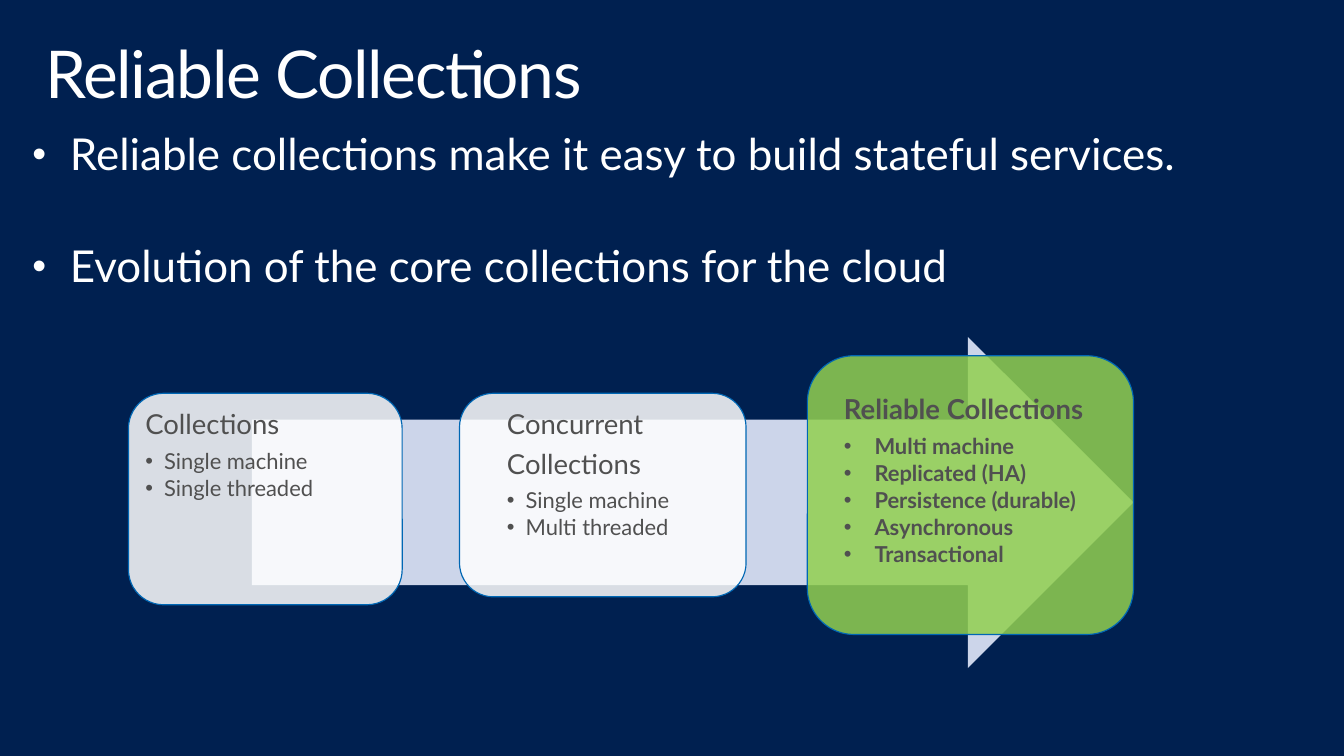
import dataclasses

import lxml.etree
import pptx
import pptx.dml.color
import pptx.enum.shapes
import pptx.enum.text
import pptx.oxml.ns
import pptx.util

SHAPES = pptx.enum.shapes.MSO_SHAPE


@dataclasses.dataclass(frozen=True)
class Theme:
    font: str = "Lato"
    background: str = "002050"
    light: str = "FFFFFF"
    ink: str = "505050"
    arrow: str = "CCD5EA"
    outline: str = "0067B4"
    highlight: str = "92D050"
    title_size: int = 48
    lead_size: int = 32
    heading_size: int = 20
    item_size: int = 16
    line_spacing: float = 0.9
    card_opacity: int = 85


class SlideBuilder:
    SCALE = 9144

    def __init__(self, deck, theme):
        self.theme = theme
        self.page = deck.slides.add_slide(deck.slide_layouts[6])
        self.paint(self.page.background.fill, theme.background)

    def px(self, *lengths):
        return [pptx.util.Emu(length * self.SCALE) for length in lengths]

    def paint(self, fill, color):
        fill.solid()
        fill.fore_color.rgb = pptx.dml.color.RGBColor.from_string(color)

    def shape(self, kind, area, color):
        shape = self.page.shapes.add_shape(kind, *self.px(*area))
        shape.shadow.inherit = False
        self.paint(shape.fill, color)
        shape.line.fill.background()
        return shape

    def card(self, area, color):
        shape = self.shape(SHAPES.ROUNDED_RECTANGLE, area, color)
        self.paint(shape.line.fill, self.theme.outline)
        shape.line.width = pptx.util.Pt(0.85)
        tint = shape._element.spPr.find(pptx.oxml.ns.qn("a:solidFill"))[0]
        alpha = lxml.etree.SubElement(tint, pptx.oxml.ns.qn("a:alpha"))
        alpha.set("val", str(self.theme.card_opacity * 1000))

    def text_frame(self, area, inset_x, inset_y):
        frame = self.page.shapes.add_textbox(*self.px(*area)).text_frame
        frame.word_wrap = True
        frame.vertical_anchor = pptx.enum.text.MSO_ANCHOR.TOP
        frame.margin_left, frame.margin_right = self.px(inset_x, inset_x)
        frame.margin_top, frame.margin_bottom = self.px(inset_y, inset_y)
        return frame

    def paragraph(self, frame, text, size, color, bold=False, before=0, after=0,
                  indent=0, bullet_size=100, tracking=0):
        para = frame.paragraphs[0]
        if para.runs:
            para = frame.add_paragraph()
        para.add_run().text = text
        para.line_spacing = self.theme.line_spacing
        para.space_before = pptx.util.Pt(before)
        para.space_after = pptx.util.Pt(after)
        if indent:
            self.bullet(para, indent, bullet_size)
        para.font.name = self.theme.font
        para.font.size = pptx.util.Pt(size)
        para.font.bold = bold
        para.font.color.rgb = pptx.dml.color.RGBColor.from_string(color)
        if tracking:
            para.runs[0].font._element.set("spc", str(tracking))

    def bullet(self, para, indent, size):
        properties = para._element.get_or_add_pPr()
        properties.set("marL", str(indent * self.SCALE))
        properties.set("indent", str(-indent * self.SCALE))
        for tag, key, value in (("a:buSzPct", "val", str(size * 1000)),
                                ("a:buFont", "typeface", "Arial"),
                                ("a:buChar", "char", "•")):
            lxml.etree.SubElement(properties, pptx.oxml.ns.qn(tag)).set(key, value)

    def title(self, area, text):
        frame = self.text_frame(area, 16, 10)
        self.paragraph(frame, text, self.theme.title_size, self.theme.light, tracking=-100)

    def lead_points(self, area, points):
        frame = self.text_frame(area, 10, 5)
        for text, before in points:
            self.paragraph(frame, text, self.theme.lead_size, self.theme.light,
                           before=before, indent=38, bullet_size=90)

    def card_text(self, area, headings, items, indent, bold):
        theme = self.theme
        frame = self.text_frame(area, 8, 8)
        for heading in headings:
            self.paragraph(frame, heading, theme.heading_size, theme.ink, bold, after=7)
        for item in items:
            self.paragraph(frame, item, theme.item_size, theme.ink, bold,
                           after=2.4, indent=indent)


def main():
    theme = Theme()
    deck = pptx.Presentation()
    deck.slide_width = pptx.util.Inches(13.6)
    deck.slide_height = pptx.util.Inches(7.65)
    slide = SlideBuilder(deck, theme)

    slide.lead_points((23, 129, 1338, 143), [
        ("Reliable collections make it easy to build stateful services.", 6.4),
        ("Evolution of the core collections for the cloud", 47.4),
    ])
    slide.title((30, 32, 1300, 100), "Reliable Collections")
    slide.shape(SHAPES.RIGHT_ARROW, (255, 341, 892, 335), theme.arrow)

    stages = [
        ((130, 398, 277, 214), theme.light, (139, 408, 312, 193),
         ["Collections"], ["Single machine", "Single threaded"], 19, False),
        ((465, 398, 290, 206), theme.light, (505, 408, 303, 186),
         ["Concurrent", "Collections"], ["Single machine", "Multi threaded"], 19, False),
        ((817, 360, 330, 282), theme.highlight, (846, 393, 297, 259),
         ["Reliable Collections"],
         ["Multi machine", "Replicated (HA)", "Persistence (durable)",
          "Asynchronous", "Transactional"], 31, True),
    ]
    for card_area, color, text_area, headings, items, indent, bold in stages:
        slide.card(card_area, color)
        slide.card_text(text_area, headings, items, indent, bold)

    deck.save("out.pptx")


if __name__ == "__main__":
    main()
